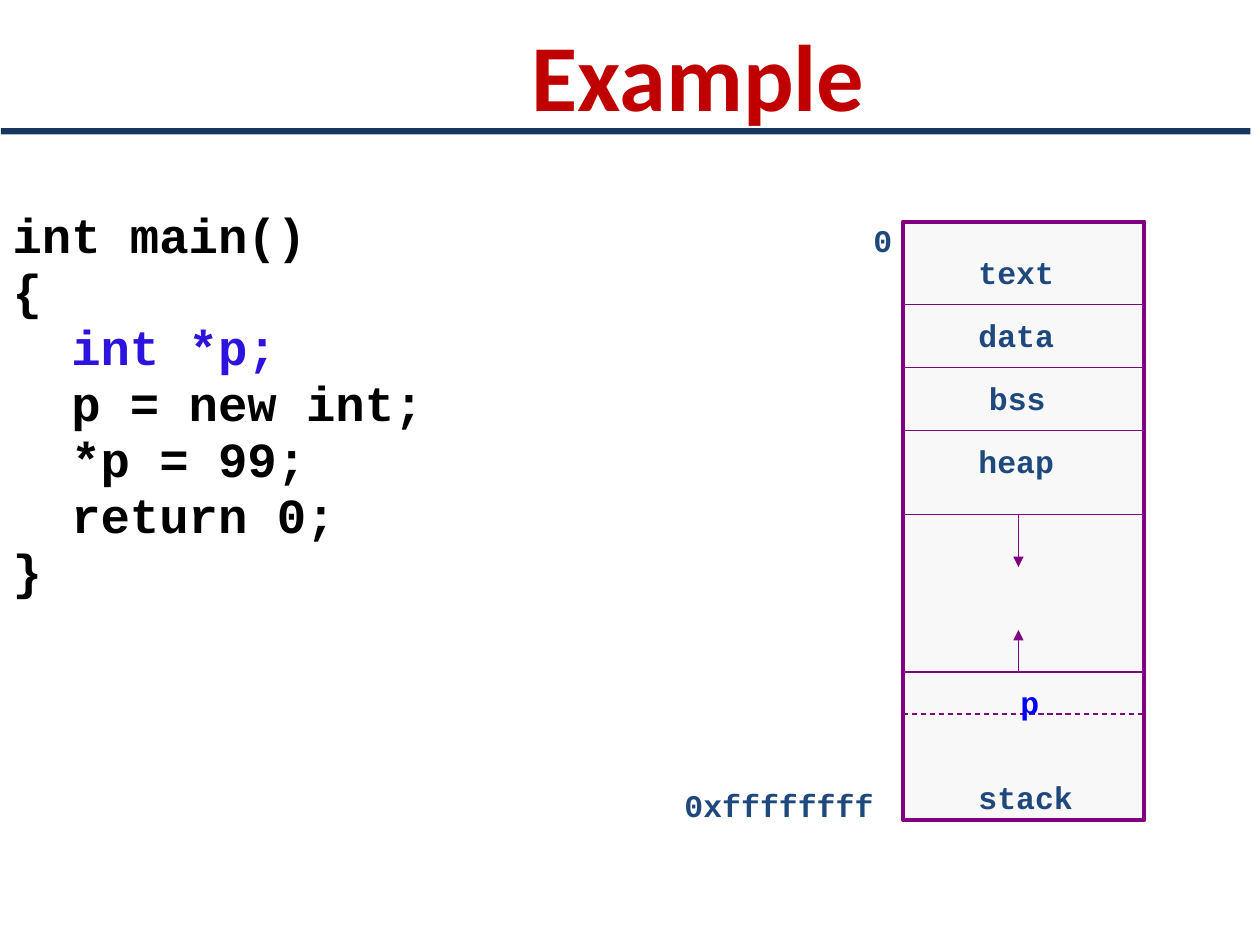
from lxml.etree import SubElement
from pptx import Presentation
from pptx.dml.color import RGBColor
from pptx.enum.dml import MSO_LINE_DASH_STYLE as Dash
from pptx.enum.shapes import MSO_CONNECTOR as Connector, MSO_SHAPE as Shape
from pptx.enum.text import MSO_ANCHOR as Anchor, MSO_AUTO_SIZE as AutoSize, PP_ALIGN as Align
from pptx.oxml.ns import qn
from pptx.util import Inches, Pt

COLORS = {
    "title": "C00000",
    "rule": "17375E",
    "code": "000000",
    "highlight": "2C14DE",
    "memory": "F8F8F8",
    "border": "800080",
    "label": "1F497D",
    "pointer": "0000FF",
}
COLUMN = ROW = Inches(1) / 12
LEFT, RIGHT, MIDDLE = 86, 109, 97

presentation = Presentation()
presentation.slide_width = Inches(10)
presentation.slide_height = Inches(7.5)
slide = presentation.slides.add_slide(presentation.slide_layouts[1])


def place(column, row, columns, rows):
    return [int(n) for n in (column * COLUMN, row * ROW, columns * COLUMN, rows * ROW)]


def style_font(font, name, size, color):
    font.name = name
    font.size = Pt(size)
    font.bold = True
    font.color.rgb = RGBColor.from_string(COLORS[color])


title = slide.shapes.title
title.left, title.top, title.width, title.height = place(13, 0, 107, 14)
title.text_frame.text = "Example"
title.text_frame.vertical_anchor = Anchor.MIDDLE
title.text_frame.auto_size = AutoSize.NONE
title.text_frame.paragraphs[0].alignment = Align.CENTER
style_font(title.text_frame.paragraphs[0].runs[0].font, "Calibri", 54, "title")

body = slide.placeholders[1]
body.left, body.top, body.width, body.height = place(0, 13, 118, 74)
body.text_frame.text = """int main()
{
  int *p;
  p = new int;
  *p = 99;
  return 0;
}"""
body.text_frame.auto_size = AutoSize.NONE
body.text_frame.margin_top = Inches(0.59)
for index, paragraph in enumerate(body.text_frame.paragraphs):
    properties = paragraph._p.get_or_add_pPr()
    properties.set("marL", str(Inches(0.38)))
    properties.set("indent", str(-Inches(0.38)))
    SubElement(properties, qn("a:buNone"))
    paragraph.line_spacing = 0.9
    paragraph.space_before = Pt(1.75 if index else 0)
    color = "highlight" if paragraph.text == "  int *p;" else "code"
    style_font(paragraph.runs[0].font, "Courier New", 28, color)

memory = slide.shapes.add_shape(Shape.RECTANGLE, *place(LEFT, 21.1, RIGHT - LEFT, 57))
memory.shadow.inherit = False
memory.fill.solid()
memory.fill.fore_color.rgb = RGBColor.from_string(COLORS["memory"])
memory.line.color.rgb = RGBColor.from_string(COLORS["border"])
memory.line.width = Pt(2.25)

dividers = [(LEFT, row, RIGHT, row) for row in (29, 35, 41, 49, 64, 68)]
arrows = [(MIDDLE, 49, MIDDLE, 54), (MIDDLE, 64, MIDDLE, 60)]
for ends in dividers + arrows:
    line = slide.shapes.add_connector(Connector.STRAIGHT, *place(*ends))
    line.line.color.rgb = RGBColor.from_string(COLORS["border"])
    line.line.width = Pt(0.75)
    if ends == dividers[-1]:
        line.line.dash_style = Dash.DASH
    if ends in arrows:
        SubElement(line.line._get_or_add_ln(), qn("a:tailEnd"), type="triangle")
    SubElement(line._element.spPr, qn("a:effectLst"))

labels = [
    ("0xffffffff", 64, 73.8, 22.4, "label"),
    ("0", 82, 20, 5, "label"),
    ("text", 92, 23, 14, "label"),
    ("data", 92, 29, 15, "label"),
    ("bss", 93, 35, 10, "label"),
    ("heap", 92, 41, 15, "label"),
    ("stack", 92, 73, 16, "label"),
    ("p", 96, 64, 10, "pointer"),
]
for text, column, row, columns, color in labels:
    label = slide.shapes.add_textbox(*place(column, row, columns, 5.2))
    label.text_frame.word_wrap = True
    label.text_frame.margin_top = Inches(0.09)
    label.text_frame.text = text
    style_font(label.text_frame.paragraphs[0].runs[0].font, "Courier New", 18, color)

rule = slide.shapes.add_shape(Shape.RECTANGLE, *place(0.1, 12.2, 119, 0.6))
rule.shadow.inherit = False
rule.fill.solid()
rule.fill.fore_color.rgb = RGBColor.from_string(COLORS["rule"])
rule.line.fill.background()

presentation.save("out.pptx")
